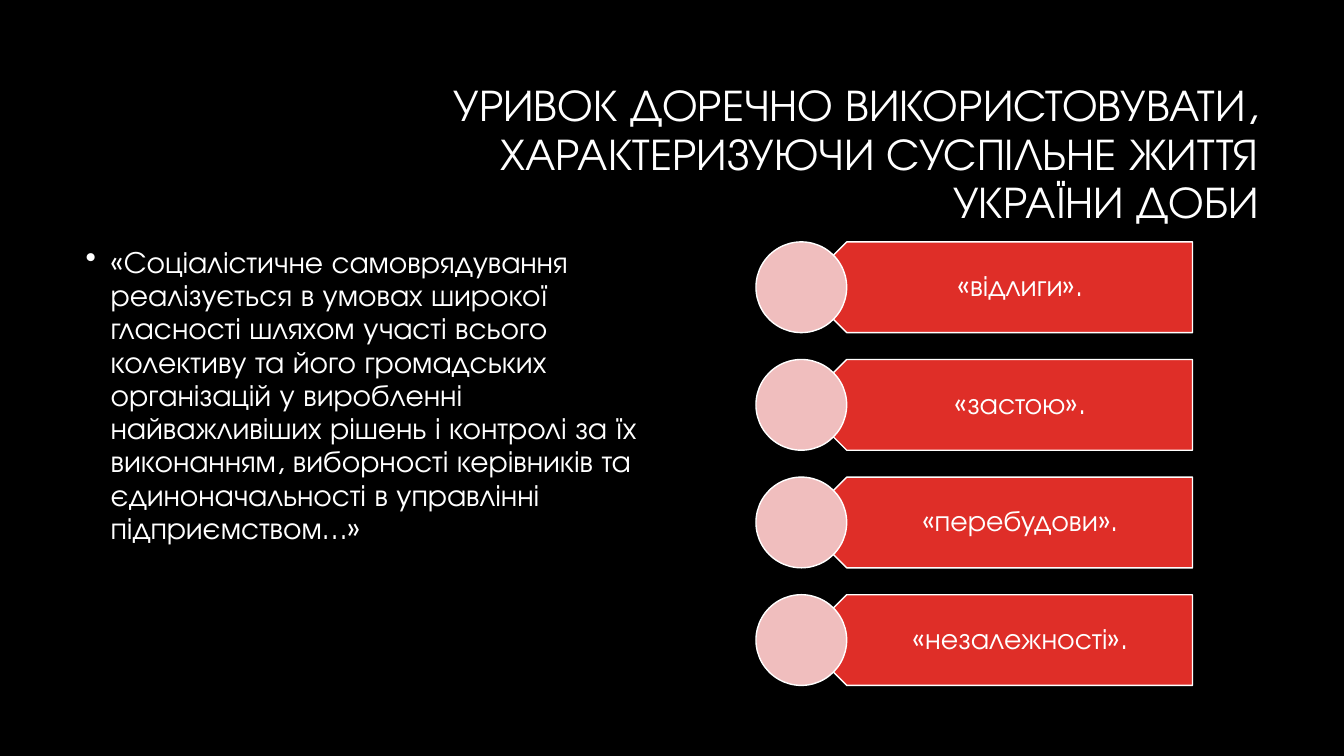
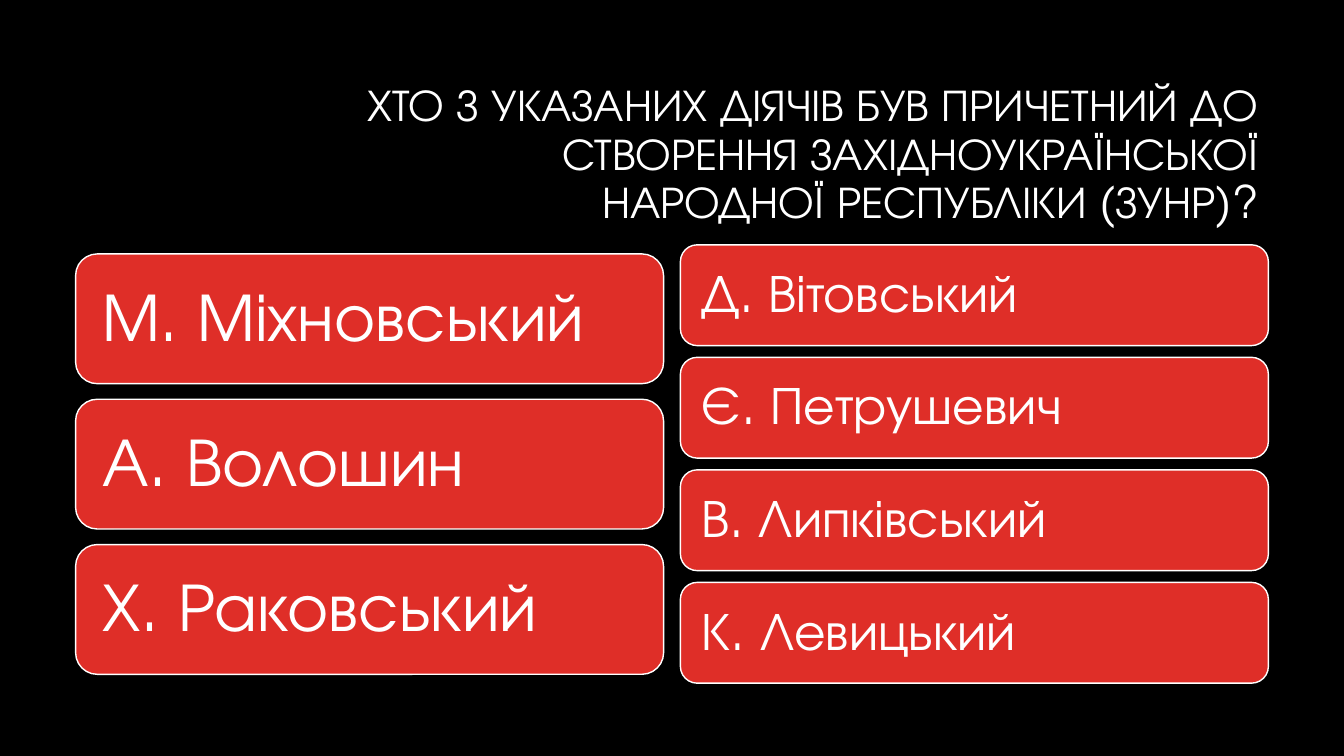
from collections import namedtuple

from pptx import Presentation
from pptx.dml.color import RGBColor
from pptx.enum.shapes import MSO_SHAPE as Preset
from pptx.enum.text import MSO_ANCHOR as Anchor, PP_ALIGN as Align
from pptx.oxml.ns import qn
from pptx.util import Pt

BLACK = RGBColor(0x00, 0x00, 0x00)
WHITE = RGBColor(0xFF, 0xFF, 0xFF)
RED = RGBColor(0xDF, 0x2E, 0x28)
PINK = RGBColor(0xF0, 0xBE, 0xBE)
FONT = "TeX Gyre Adventor"

Box = namedtuple("Box", "left top width height")
TITLE = Box(228.2, 60.5, 678.2, 101.5)
QUOTE = Box(54, 172.8, 420, 316.8)
PERIODS = Box(540, 172.8, 311.8, 316.8)
LEFT_NAMES = Box(54, 181.4, 420, 300.3)
RIGHT_NAMES = Box(486, 174.9, 420, 313.1)


def points(box):
    """Convert a box to point lengths."""
    return [Pt(value) for value in box]


def stack(box, count, row_height):
    """Split a box into equally spaced rows."""
    pitch = (box.height - row_height) / (count - 1)
    return [Box(box.left, box.top + index * pitch, box.width, row_height)
            for index in range(count)]


def write(shape, text, size, align=Align.LEFT, anchor=Anchor.MIDDLE,
          insets=(7.2, 3.6, 7.2, 3.6), bullet=None, indent=18):
    """Write one formatted paragraph into a shape."""
    frame = shape.text_frame
    frame.word_wrap = True
    frame.vertical_anchor = anchor
    frame.margin_left, frame.margin_top, frame.margin_right, frame.margin_bottom = points(insets)
    paragraph = frame.paragraphs[0]
    paragraph.text = text
    paragraph.alignment = align
    paragraph.line_spacing = 0.9
    if bullet:
        properties = paragraph._p.get_or_add_pPr()
        properties.set("marL", str(Pt(indent)))
        properties.set("indent", str(-Pt(indent)))
        mark = properties.makeelement(qn("a:buChar"), {"char": bullet})
        properties.append(mark)
    font = paragraph.runs[0].font
    font.name = FONT
    font.size = Pt(size)
    font.color.rgb = WHITE


def add_text(slide, box, text, size, **style):
    """Add a text box."""
    write(slide.shapes.add_textbox(*points(box)), text, size, **style)


def add_outlined(slide, preset, box, fill):
    """Add a filled preset shape with a thin white outline."""
    shape = slide.shapes.add_shape(preset, *points(box))
    shape.shadow.inherit = False
    shape.fill.solid()
    shape.fill.fore_color.rgb = fill
    shape.line.color.rgb = WHITE
    shape.line.width = Pt(1)
    return shape


def add_question(presentation, title):
    """Add a black slide with a right-aligned title."""
    slide = presentation.slides.add_slide(presentation.slide_layouts[6])
    slide.background.fill.solid()
    slide.background.fill.fore_color.rgb = BLACK
    add_text(slide, TITLE, title, 32, align=Align.RIGHT)
    return slide


def add_arrow_list(slide, box, labels, row_height=64.8):
    """Stack left-pointing plates, each headed by a circle."""
    for label, row in zip(labels, stack(box, len(labels), row_height)):
        radius = row_height / 2
        plate = row._replace(left=row.left + radius, width=row.width - radius)
        caption = row._replace(left=row.left + 48.8, width=row.width - 48.8)
        add_outlined(slide, Preset.PENTAGON, plate, RED).rotation = 180
        add_text(slide, caption, label, 21, align=Align.CENTER,
                 insets=(28.8, 6.5, 11.5, 6.5))
        add_outlined(slide, Preset.OVAL, row._replace(width=row_height), PINK)


def add_name_list(slide, box, names, row_height, size, inset):
    """Stack rounded bars holding one name each."""
    for name, row in zip(names, stack(box, len(names), row_height)):
        bar = add_outlined(slide, Preset.ROUNDED_RECTANGLE, row, RED)
        write(bar, name, size, insets=(inset,) * 4)


def add_period_slide(presentation):
    """Build the slide that matches a quotation to a period."""
    slide = add_question(
        presentation,
        "УРИВОК ДОРЕЧНО ВИКОРИСТОВУВАТИ, ХАРАКТЕРИЗУЮЧИ СУСПІЛЬНЕ ЖИТТЯ УКРАЇНИ ДОБИ")
    quote = ("«Соціалістичне самоврядування реалізується в умовах широкої гласності "
             "шляхом участі всього колективу та його громадських організацій у "
             "виробленні найважливіших рішень і контролі за їх виконанням, виборності "
             "керівників та єдиноначальності в управлінні підприємством…»")
    add_text(slide, QUOTE, quote, 22, anchor=Anchor.TOP, bullet="•")
    add_arrow_list(slide, PERIODS,
                   ["«відлиги».", "«застою».", "«перебудови».", "«незалежності»."])


def add_people_slide(presentation):
    """Build the slide that lists the public figures."""
    slide = add_question(
        presentation,
        "ХТО З УКАЗАНИХ ДІЯЧІВ БУВ ПРИЧЕТНИЙ ДО СТВОРЕННЯ ЗАХІДНОУКРАЇНСЬКОЇ "
        "НАРОДНОЇ РЕСПУБЛІКИ (ЗУНР)?")
    add_name_list(slide, LEFT_NAMES, ["М. Міхновський", "А. Волошин", "Х. Раковський"],
                  row_height=92.7, size=49, inset=14.4)
    add_name_list(slide, RIGHT_NAMES,
                  ["Д. Вітовський", "Є. Петрушевич", "В. Липківський", "К. Левицький"],
                  row_height=72, size=38, inset=11.5)


def main():
    """Build and save the presentation."""
    presentation = Presentation()
    presentation.slide_width = Pt(960)
    presentation.slide_height = Pt(540)
    add_period_slide(presentation)
    add_people_slide(presentation)
    presentation.save("out.pptx")


if __name__ == "__main__":
    main()
